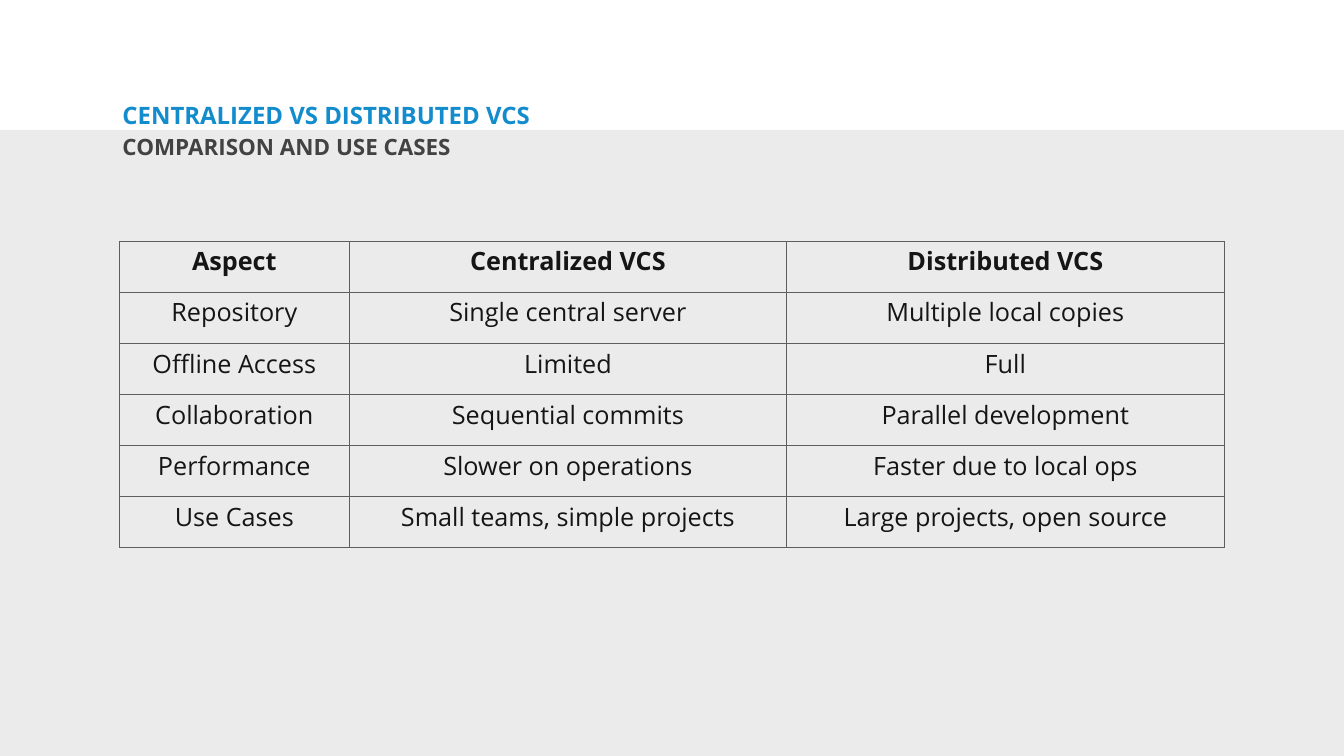
from lxml import etree
from pptx import Presentation
from pptx.dml.color import RGBColor
from pptx.enum import shapes, text
from pptx.oxml.ns import qn
from pptx.util import Inches, Pt

FONT = "Open Sans"
COLORS = {
    "panel": "EBEBEB",
    "title": "128CCD",
    "subtitle": "424242",
    "body": "151515",
    "border": "5E5E5E",
}
COLUMN_WIDTHS = [4.56, 8.68, 8.68]
COMPARISON = [
    ["Aspect", "Centralized VCS", "Distributed VCS"],
    ["Repository", "Single central server", "Multiple local copies"],
    ["Offline Access", "Limited", "Full"],
    ["Collaboration", "Sequential commits", "Parallel development"],
    ["Performance", "Slower on operations", "Faster due to local ops"],
    ["Use Cases", "Small teams, simple projects", "Large projects, open source"],
]


def write_text(frame, content, *, size, color, bold=False, align=None, spacing=None):
    paragraph = frame.paragraphs[0]
    paragraph.text = content
    paragraph.alignment = align
    paragraph.line_spacing = spacing
    font = paragraph.runs[0].font
    font.name = FONT
    font.size = Pt(size)
    font.bold = bold
    font.color.rgb = RGBColor.from_string(COLORS[color])


def add_panel(slide, left, top, width, height):
    panel = slide.shapes.add_shape(
        shapes.MSO_SHAPE.RECTANGLE,
        Inches(left), Inches(top), Inches(width), Inches(height))
    panel.shadow.inherit = False
    panel.fill.solid()
    panel.fill.fore_color.rgb = RGBColor.from_string(COLORS["panel"])
    panel.line.fill.background()


def add_heading(slide, left, top, width, height, content, **style):
    box = slide.shapes.add_textbox(
        Inches(left), Inches(top), Inches(width), Inches(height))
    frame = box.text_frame
    frame.word_wrap = True
    frame.vertical_anchor = text.MSO_ANCHOR.TOP
    frame.margin_left = frame.margin_right = Inches(0.06)
    frame.margin_top = frame.margin_bottom = Inches(0.06)
    write_text(frame, content, bold=True, **style)


def add_cell_borders(cell):
    properties = cell._tc.get_or_add_tcPr()
    # Border lines come before the fill in the cell properties
    for index, side in enumerate(("a:lnL", "a:lnR", "a:lnT", "a:lnB")):
        line = etree.Element(qn(side), w=str(Pt(1)))
        fill = etree.SubElement(line, qn("a:solidFill"))
        etree.SubElement(fill, qn("a:srgbClr"), val=COLORS["border"])
        properties.insert(index, line)


def add_comparison_table(slide, left, top, width, height):
    table = slide.shapes.add_table(
        len(COMPARISON), len(COLUMN_WIDTHS),
        Inches(left), Inches(top), Inches(width), Inches(height)).table
    table.horz_banding = False
    for column, column_width in zip(table.columns, COLUMN_WIDTHS):
        column.width = Inches(column_width)
    for row_index, row in enumerate(COMPARISON):
        for column_index, content in enumerate(row):
            cell = table.cell(row_index, column_index)
            cell.fill.background()
            add_cell_borders(cell)
            write_text(cell.text_frame, content, size=36, color="body",
                       bold=row_index == 0, align=text.PP_ALIGN.CENTER)


def main():
    presentation = Presentation()
    presentation.slide_width = Inches(26.67)
    presentation.slide_height = Inches(15)
    slide = presentation.slides.add_slide(presentation.slide_layouts[6])

    # Grey lower area
    add_panel(slide, 0, 2.58, 26.67, 12.42)

    # Title and subtitle
    add_heading(slide, 2.37, 2.05, 16.09, 0.56, "CENTRALIZED VS DISTRIBUTED VCS",
                size=34.2, color="title", spacing=0.8)
    add_heading(slide, 2.37, 2.65, 11.78, 0.88, "COMPARISON AND USE CASES",
                size=32, color="subtitle", spacing=0.9)

    # Comparison table
    add_comparison_table(slide, 2.37, 4.79, sum(COLUMN_WIDTHS), 6.08)

    presentation.save("out.pptx")


if __name__ == "__main__":
    main()
